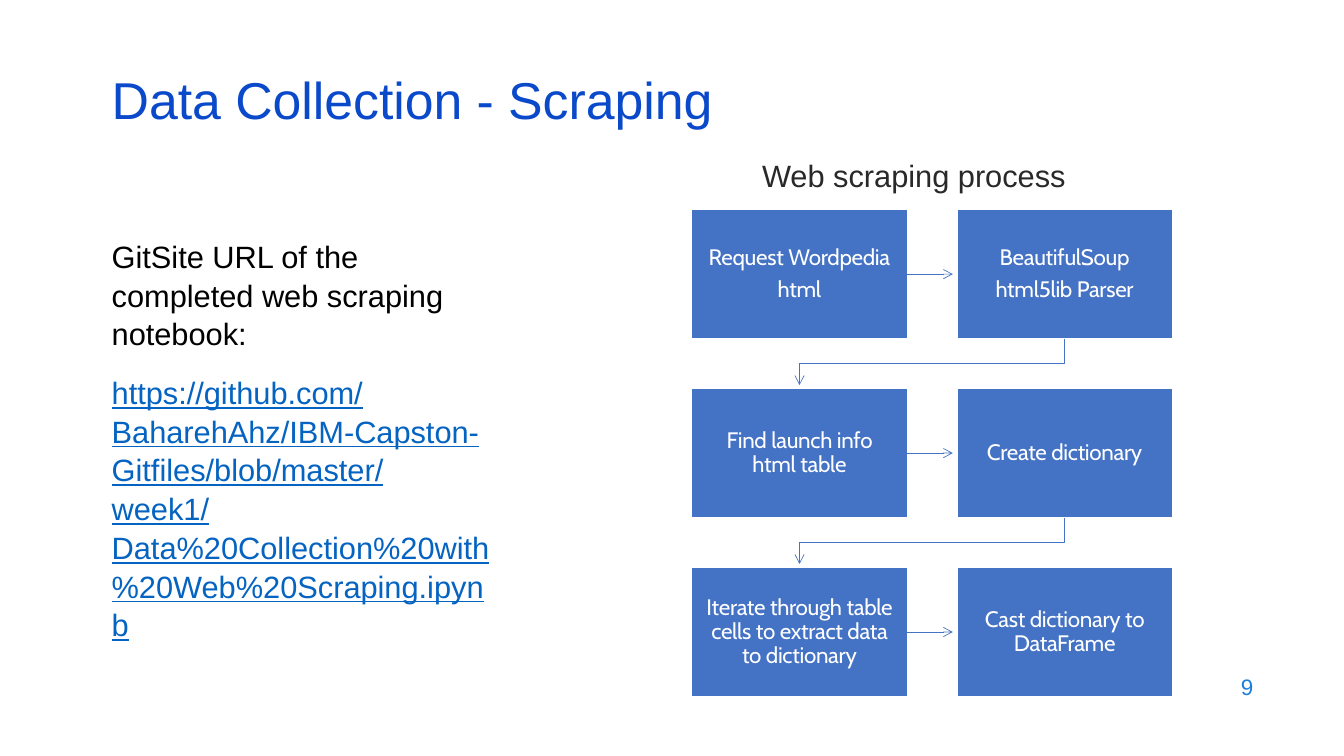
"""Build the web scraping slide: notebook link on the left, process flow on the right."""
from lxml import etree
from pptx import Presentation
from pptx.dml.color import RGBColor
from pptx.enum.shapes import MSO_CONNECTOR, MSO_SHAPE
from pptx.enum.text import MSO_ANCHOR, PP_ALIGN
from pptx.oxml.ns import qn
from pptx.util import Inches, Pt

TITLE = "Data Collection - Scraping"
INTRO = "GitSite URL of the completed web scraping notebook:"
LINK = ("https://github.com/BaharehAhz/IBM-Capston-Gitfiles/blob/master/week1/"
        "Data%20Collection%20with%20Web%20Scraping.ipynb")
PROCESS_HEADING = "Web scraping process"
PAGE_NUMBER = "9"
STEPS = [
    [["Request Wordpedia", "html"], ["BeautifulSoup", "html5lib Parser"]],
    [["Find launch info html table"], ["Create dictionary"]],
    [["Iterate through table cells to extract data to dictionary"],
     ["Cast dictionary to DataFrame"]],
]

THEME = {
    "title": {"font": "Arial", "size": 37, "color": "0B49CB"},
    "intro": {"font": "Arial", "size": 22, "color": "000000"},
    "link": {"font": "Arial", "size": 22, "color": "0563C1", "underline": True},
    "heading": {"font": "Arial", "size": 22, "color": "292929"},
    "page": {"font": "Arial", "size": 16, "color": "1C7DDB"},
    "step": {"font": "Cabin", "size": 16, "color": "FFFFFF", "tracking": "-20"},
    "step_fill": "4472C4",
    "step_edge": "FFFFFF",
    "arrow": "4472C4",
}

GRID_LEFT, GRID_TOP = 6.86, 2.08
STEP_WIDTH, STEP_HEIGHT = 2.14, 1.28
COLUMN_PITCH, ROW_PITCH = 2.63, 3.55 / 2
ARROW_LENGTH, BEND_DROP, BEND_END = 0.45, 0.25, 0.46
STEP_INSET = 0.13


def write(frame, paragraphs, **layout):
    """Fill a frame with (text, style name) paragraphs sharing one layout."""
    frame.word_wrap = True
    for index, (text, style_name) in enumerate(paragraphs):
        style = THEME[style_name]
        paragraph = frame.add_paragraph() if index else frame.paragraphs[0]
        for name, value in layout.items():
            if index or name != "space_before":
                setattr(paragraph, name, value)
        run = paragraph.add_run()
        run.text = text
        formats = {"name": style["font"], "size": Pt(style["size"]),
                   "underline": style.get("underline")}
        for name, value in formats.items():
            setattr(run.font, name, value)
        run.font.color.rgb = RGBColor.from_string(style["color"])
        if "tracking" in style:
            run.font._element.set("spc", style["tracking"])


def add_text(slide, box, paragraphs, anchor=MSO_ANCHOR.TOP, **layout):
    """Add a text box at box, given in inches."""
    frame = slide.shapes.add_textbox(*map(Inches, box)).text_frame
    frame.vertical_anchor = anchor
    write(frame, paragraphs, **layout)


def add_step(slide, row, column, lines):
    """Add one process step at its grid place."""
    step = slide.shapes.add_shape(
        MSO_SHAPE.RECTANGLE, Inches(GRID_LEFT + column * COLUMN_PITCH),
        Inches(GRID_TOP + row * ROW_PITCH), Inches(STEP_WIDTH), Inches(STEP_HEIGHT))
    step.shadow.inherit = False
    step.fill.solid()
    step.fill.fore_color.rgb = RGBColor.from_string(THEME["step_fill"])
    step.line.color.rgb = RGBColor.from_string(THEME["step_edge"])
    step.line.width = Pt(1)
    frame = step.text_frame
    for side in ("left", "right", "top", "bottom"):
        setattr(frame, f"margin_{side}", Inches(STEP_INSET))
    frame.vertical_anchor = MSO_ANCHOR.MIDDLE
    write(frame, [(line, "step") for line in lines], alignment=PP_ALIGN.CENTER,
          line_spacing=0.9, space_after=Pt(5.5))
    return step


def style_arrow(arrow):
    """Give a line its colour, width and open arrowhead, without shadow."""
    arrow.line.color.rgb = RGBColor.from_string(THEME["arrow"])
    arrow.line.width = Pt(0.5)
    etree.SubElement(arrow.line._get_or_add_ln(), qn("a:tailEnd"), type="arrow")
    etree.SubElement(arrow._element.spPr, qn("a:effectLst"))


def add_row_arrow(slide, step):
    """Point from a step's right side towards the next column."""
    start, middle = step.left + step.width, step.top + step.height // 2
    arrow = slide.shapes.add_connector(
        MSO_CONNECTOR.STRAIGHT, start, middle, start + Inches(ARROW_LENGTH), middle)
    arrow.begin_connect(step, 3)
    style_arrow(arrow)


def add_return_arrow(slide, last, first):
    """Bend from the bottom of a row's last step to the row below."""
    start_x, end_x = last.left + last.width // 2, first.left + first.width // 2
    bottom = last.top + last.height
    bend = bottom + Inches(BEND_DROP)
    builder = slide.shapes.build_freeform(start_x, bottom)
    builder.add_line_segments(
        [(start_x, bend), (end_x, bend), (end_x, bottom + Inches(BEND_END))], close=False)
    arrow = builder.convert_to_shape()
    arrow.fill.background()
    style_arrow(arrow)


def main():
    """Compose and save the slide."""
    deck = Presentation()
    deck.slide_width, deck.slide_height = Inches(13.33), Inches(7.5)
    slide = deck.slides.add_slide(deck.slide_layouts[6])
    add_text(slide, (9.53, 6.59, 3, 0.44), [(PAGE_NUMBER, "page")],
             MSO_ANCHOR.MIDDLE, alignment=PP_ALIGN.RIGHT)
    add_text(slide, (1.01, 2.29, 4.03, 3.16), [(INTRO, "intro"), (LINK, "link")],
             space_before=Pt(14), line_spacing=1.05)
    add_text(slide, (1.01, 0.76, 11.5, 0.6), [(TITLE, "title")],
             MSO_ANCHOR.MIDDLE, line_spacing=0.7)
    for row, row_steps in enumerate(STEPS):
        first, last = [add_step(slide, row, column, lines)
                       for column, lines in enumerate(row_steps)]
        add_row_arrow(slide, first)
        if row < len(STEPS) - 1:
            add_return_arrow(slide, last, first)
    add_text(slide, (7.46, 1.51, 3.6, 0.77), [(PROCESS_HEADING, "heading")])
    deck.save("out.pptx")


if __name__ == "__main__":
    main()
